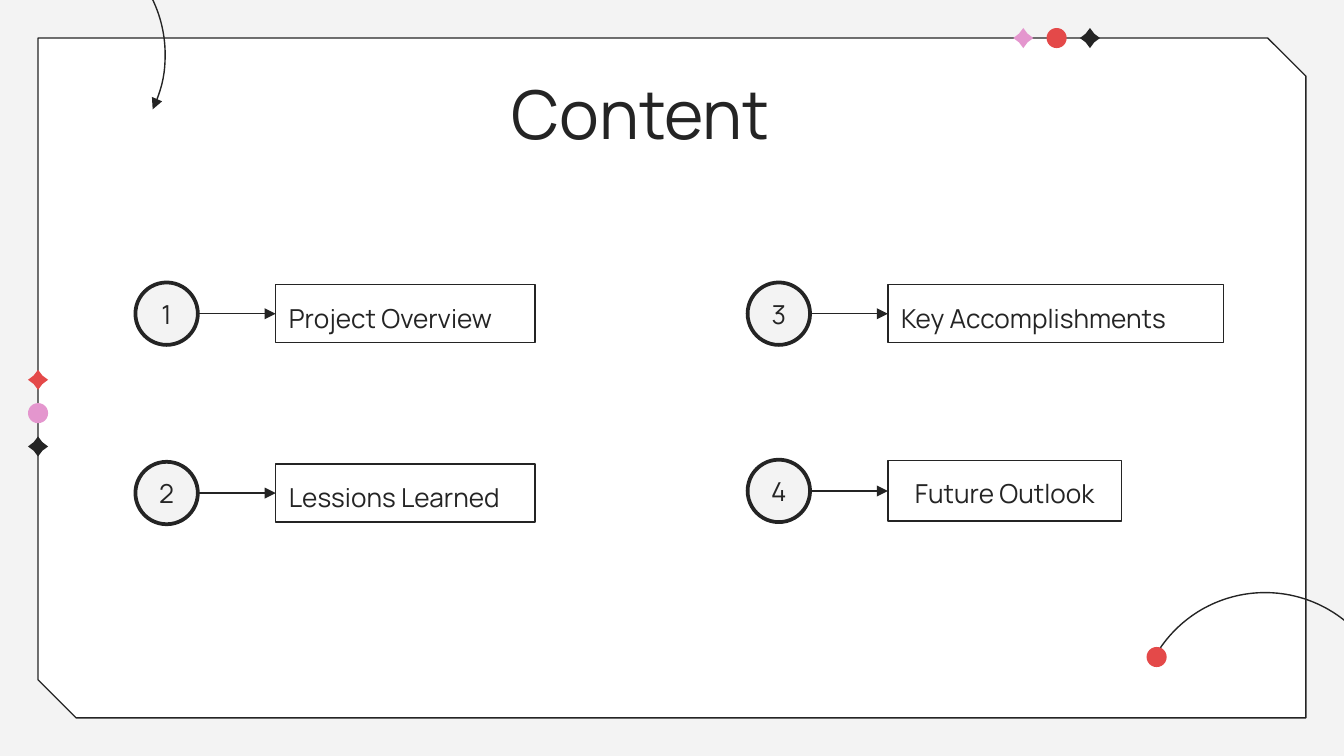
from lxml.etree import SubElement
from pptx import Presentation
from pptx.dml.color import RGBColor
from pptx.enum.shapes import MSO_CONNECTOR, MSO_SHAPE
from pptx.enum.text import MSO_ANCHOR, PP_ALIGN
from pptx.oxml.ns import qn
from pptx.util import Cm, Pt

BACKGROUND = RGBColor(0xF3, 0xF3, 0xF3)
WHITE = RGBColor(0xFF, 0xFF, 0xFF)
INK = RGBColor(0x24, 0x24, 0x24)
RED = RGBColor(0xE4, 0x49, 0x49)
PINK = RGBColor(0xE4, 0x96, 0xCE)

FONT = "Manrope"
SLIDE_W, SLIDE_H = 25.4, 14.29
MARGIN = 0.72
ORNAMENT, ORNAMENT_STEP = 0.38, 0.63
BADGE, LABEL_OFFSET = 1.18, 2.65


def add_outline(slide, kind, box, fill=None, line_width=None):
    """Add a preset shape; box is left, top, width, height in centimetres."""
    shape = slide.shapes.add_shape(kind, *map(Cm, box))
    shape.shadow.inherit = False
    if fill is None:
        shape.fill.background()
    else:
        shape.fill.solid()
        shape.fill.fore_color.rgb = fill
    if line_width is None:
        shape.line.fill.background()
    else:
        shape.line.color.rgb = INK
        shape.line.width = Pt(line_width)
    return shape


def add_arrowhead(line_shape):
    SubElement(line_shape.line._get_or_add_ln(), qn("a:tailEnd"), type="triangle")


def write(shape, text, size, align, anchor, spacing=None):
    frame = shape.text_frame
    frame.word_wrap = True
    frame.vertical_anchor = anchor
    frame.margin_left = frame.margin_right = Cm(0.25)
    frame.margin_top = frame.margin_bottom = Cm(0.25)
    paragraph = frame.paragraphs[0]
    paragraph.text = text
    paragraph.alignment = align
    paragraph.line_spacing = spacing
    paragraph.font.name = FONT
    paragraph.font.size = Pt(size)
    paragraph.font.color.rgb = INK


def add_ornament(slide, kind, center_x, center_y, color):
    box = (center_x - ORNAMENT / 2, center_y - ORNAMENT / 2, ORNAMENT, ORNAMENT)
    ornament = add_outline(slide, kind, box, color)
    if kind == MSO_SHAPE.STAR_4_POINT:
        ornament.adjustments[0] = 0.303


def add_ornament_row(slide, x, y, step_x, step_y, colors):
    """Place star, dot, star from the centre x, y onwards."""
    kinds = (MSO_SHAPE.STAR_4_POINT, MSO_SHAPE.OVAL, MSO_SHAPE.STAR_4_POINT)
    for i, (kind, color) in enumerate(zip(kinds, colors)):
        add_ornament(slide, kind, x + i * step_x, y + i * step_y, color)


def add_curved_arrow(slide, box, rotation, start, end):
    """Draw an arc between two angles in degrees, before rotation."""
    arc = add_outline(slide, MSO_SHAPE.ARC, box, line_width=0.75)
    arc.rotation = rotation
    for i, degrees in enumerate((start, end)):
        arc.adjustments[i] = degrees * 0.6  # 60000ths of a degree / 100000
    add_arrowhead(arc)


def add_decoration(slide, box):
    left, top, width, height = box
    panel = add_outline(slide, MSO_SHAPE.SNIP_2_DIAG_RECTANGLE, box, WHITE, 0.75)
    panel.adjustments[0] = 0
    panel.adjustments[1] = 0.056
    add_ornament_row(slide, left, top + 6.46, 0, ORNAMENT_STEP, (RED, PINK, INK))
    add_ornament_row(slide, left + 18.62, top, ORNAMENT_STEP, 0, (PINK, RED, INK))
    add_curved_arrow(slide, (left - 2.4, top - 2.09, 4.8, 4.8), 180, 343.45, 205.58)
    add_curved_arrow(slide, (left + 20.79, top + 10.48, 4.8, 4.8), 300, 270, 219.26)
    add_ornament(slide, MSO_SHAPE.OVAL, left + 21.14, top + 11.7, RED)


def add_title(slide, box):
    title = slide.shapes.add_textbox(*map(Cm, box))
    write(title, "Content", 36, PP_ALIGN.CENTER, MSO_ANCHOR.BOTTOM, 1.15)


def add_entry(slide, box, number, topic, align, anchor):
    """Numbered badge with an arrow to its label, which ends at the box's right edge."""
    left, top, width, height = box
    middle = top + height / 2
    label_left = left + LABEL_OFFSET

    label_box = (label_left, top, width - LABEL_OFFSET, height)
    label = add_outline(slide, MSO_SHAPE.RECTANGLE, label_box, line_width=0.75)
    write(label, topic, 14, align, anchor, 1.15)

    badge_box = (left, middle - BADGE / 2, BADGE, BADGE)
    badge = add_outline(slide, MSO_SHAPE.OVAL, badge_box, BACKGROUND, 2)
    write(badge, str(number), 14, PP_ALIGN.CENTER, MSO_ANCHOR.MIDDLE)

    arrow = slide.shapes.add_connector(
        MSO_CONNECTOR.STRAIGHT,
        Cm(left + BADGE), Cm(middle), Cm(label_left), Cm(middle))
    arrow.line.color.rgb = INK
    arrow.line.width = Pt(0.75)
    add_arrowhead(arrow)
    SubElement(arrow._element.spPr, qn("a:effectLst"))


def add_agenda(slide, box):
    left, top, width, height = box
    right_column = left + 11.57
    top_left = (PP_ALIGN.LEFT, MSO_ANCHOR.TOP)
    centered = (PP_ALIGN.CENTER, MSO_ANCHOR.MIDDLE)
    second_row = top + height - 1.1
    entries = (
        ((left, top, 7.55, 1.1), "Project Overview", top_left),
        ((left, second_row, 7.55, 1.1), "Lessions Learned", top_left),
        ((right_column, top, width - 11.57, 1.1), "Key Accomplishments", top_left),
        ((right_column, second_row - 0.06, 7.07, 1.14), "Future Outlook", centered),
    )
    for number, (entry_box, topic, placement) in enumerate(entries, 1):
        add_entry(slide, entry_box, number, topic, *placement)


def main():
    presentation = Presentation()
    presentation.slide_width = Cm(SLIDE_W)
    presentation.slide_height = Cm(SLIDE_H)
    slide = presentation.slides.add_slide(presentation.slide_layouts[6])
    slide.background.fill.solid()
    slide.background.fill.fore_color.rgb = BACKGROUND

    add_decoration(
        slide, (MARGIN, MARGIN, SLIDE_W - 2 * MARGIN, SLIDE_H - 2 * MARGIN))
    add_title(slide, (8.53, 0.99, 7.16, 2.16))
    add_agenda(slide, (2.56, 5.38, 20.57, 4.49))
    presentation.save("out.pptx")


if __name__ == "__main__":
    main()
